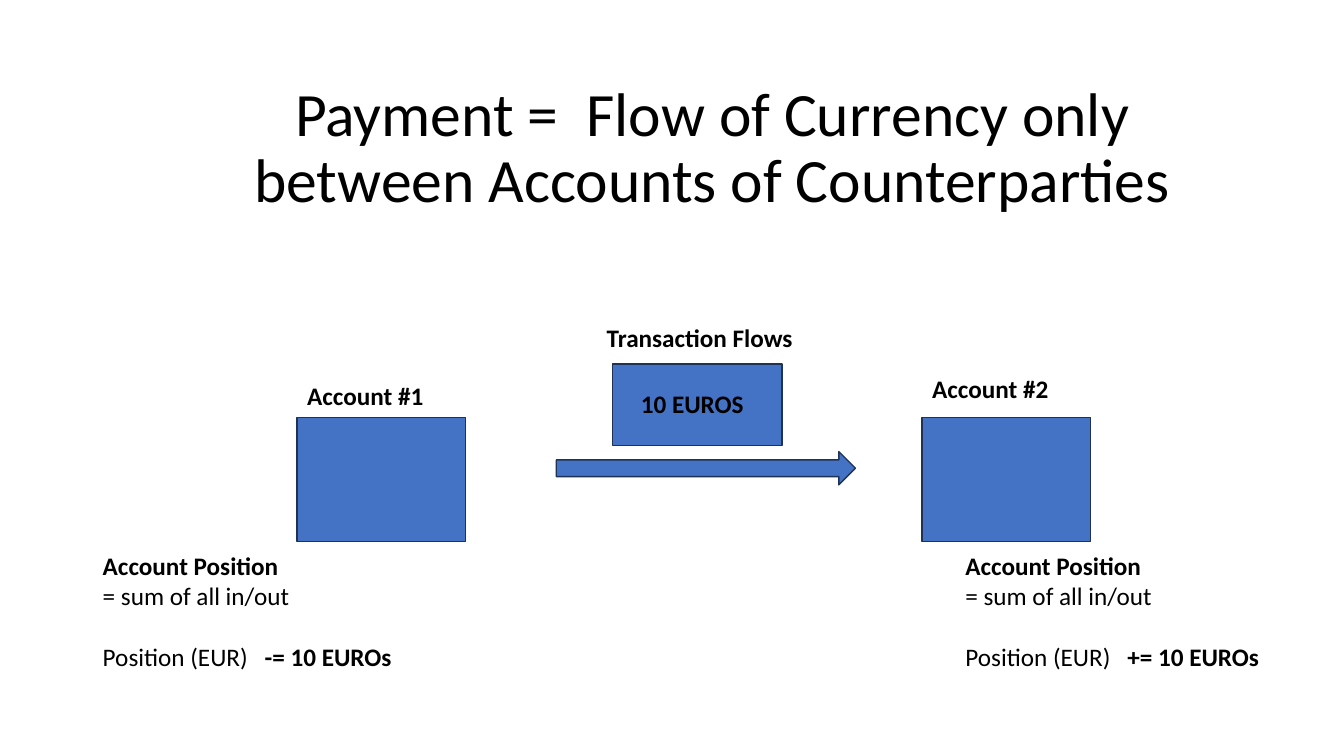
from lxml.etree import SubElement
from pptx import Presentation
from pptx.dml.color import RGBColor
from pptx.enum.shapes import MSO_SHAPE as Preset
from pptx.enum.text import MSO_ANCHOR as Anchor, PP_ALIGN as Align
from pptx.oxml.ns import qn
from pptx.util import Cm, Pt

COLORS = {"text": "000000", "fill": "4472C4", "outline": "1E3256"}
FONT = "Calibri"
LABEL_WIDTH, LABEL_HEIGHT = 5.82, 1.02
VALUE_TAB = 4.08


def color(name):
    return RGBColor.from_string(COLORS[name])


def add_run(paragraph, text, bold=False, size=18):
    run = paragraph.add_run()
    run.text = text
    run.font.name = FONT
    run.font.size = Pt(size)
    run.font.bold = bold
    run.font.color.rgb = color("text")


def add_frame(slide, left, top, width, height):
    """Add a wrapping text box and return its text frame."""
    box = slide.shapes.add_textbox(Cm(left), Cm(top), Cm(width), Cm(height))
    box.text_frame.word_wrap = True
    return box.text_frame


def add_label(slide, left, top, text):
    frame = add_frame(slide, left, top, LABEL_WIDTH, LABEL_HEIGHT)
    add_run(frame.paragraphs[0], text, bold=True)


def add_block(slide, preset, left, top, width, height):
    shape = slide.shapes.add_shape(preset, Cm(left), Cm(top), Cm(width), Cm(height))
    shape.shadow.inherit = False
    shape.fill.solid()
    shape.fill.fore_color.rgb = color("fill")
    shape.line.color.rgb = color("outline")
    shape.line.width = Pt(1)


def add_tab_stop(paragraph, position):
    tabs = SubElement(paragraph._p.get_or_add_pPr(), qn("a:tabLst"))
    SubElement(tabs, qn("a:tab"), pos=str(Cm(position)), algn="l")


def add_title(slide, left, top, width, height):
    frame = add_frame(slide, left, top, width, height)
    frame.vertical_anchor = Anchor.MIDDLE
    paragraph = frame.paragraphs[0]
    paragraph.alignment = Align.CENTER
    paragraph.line_spacing = 0.9
    add_run(paragraph, "Payment =  Flow of Currency only", size=44)
    paragraph.add_line_break()
    add_run(paragraph, "between Accounts of Counterparties", size=44)


def add_account(slide, left, top, name, label_rise):
    """Draw an account box with its name label_rise above the top edge."""
    add_block(slide, Preset.RECTANGLE, left, top, 4.24, 3.12)
    add_label(slide, left, top - label_rise, name)


def add_position(slide, left, top, width, height, change):
    """Write how the payment changes the position of an account."""
    frame = add_frame(slide, left, top, width, height)
    add_run(frame.paragraphs[0], "Account Position", bold=True)
    add_run(frame.add_paragraph(), "= sum of all in/out")
    result = frame.add_paragraph()
    result.space_before = Pt(22)
    add_tab_stop(result, VALUE_TAB)
    add_run(result, "Position (EUR)\t")
    add_run(result, change, bold=True)


def add_transaction(slide, left, top):
    """Draw the flow arrow with the amount box and heading above it."""
    add_block(slide, Preset.RIGHT_ARROW, left, top + 3.38, 7.54, 0.84)
    add_block(slide, Preset.RECTANGLE, left + 1.42, top + 1.17, 4.27, 2.06)
    add_label(slide, left + 1.02, top, "Transaction Flows")
    add_label(slide, left + 1.88, top + 1.65, "10 EUROS")


def main():
    presentation = Presentation()
    presentation.slide_width, presentation.slide_height = Cm(33.87), Cm(19.05)
    slide = presentation.slides.add_slide(presentation.slide_layouts[6])
    add_title(slide, 2.34, 1.02, 31.24, 5.51)
    add_account(slide, 7.49, 10.52, "Account #1", 1.05)
    add_account(slide, 23.24, 10.52, "Account #2", 1.25)
    add_position(slide, 2.34, 13.74, 12.27, 4.11, "-= 10 EUROs")
    add_transaction(slide, 14.02, 8)
    add_position(slide, 24.08, 13.74, 9.47, 4.11, "+= 10 EUROs")
    presentation.save("out.pptx")


if __name__ == "__main__":
    main()
